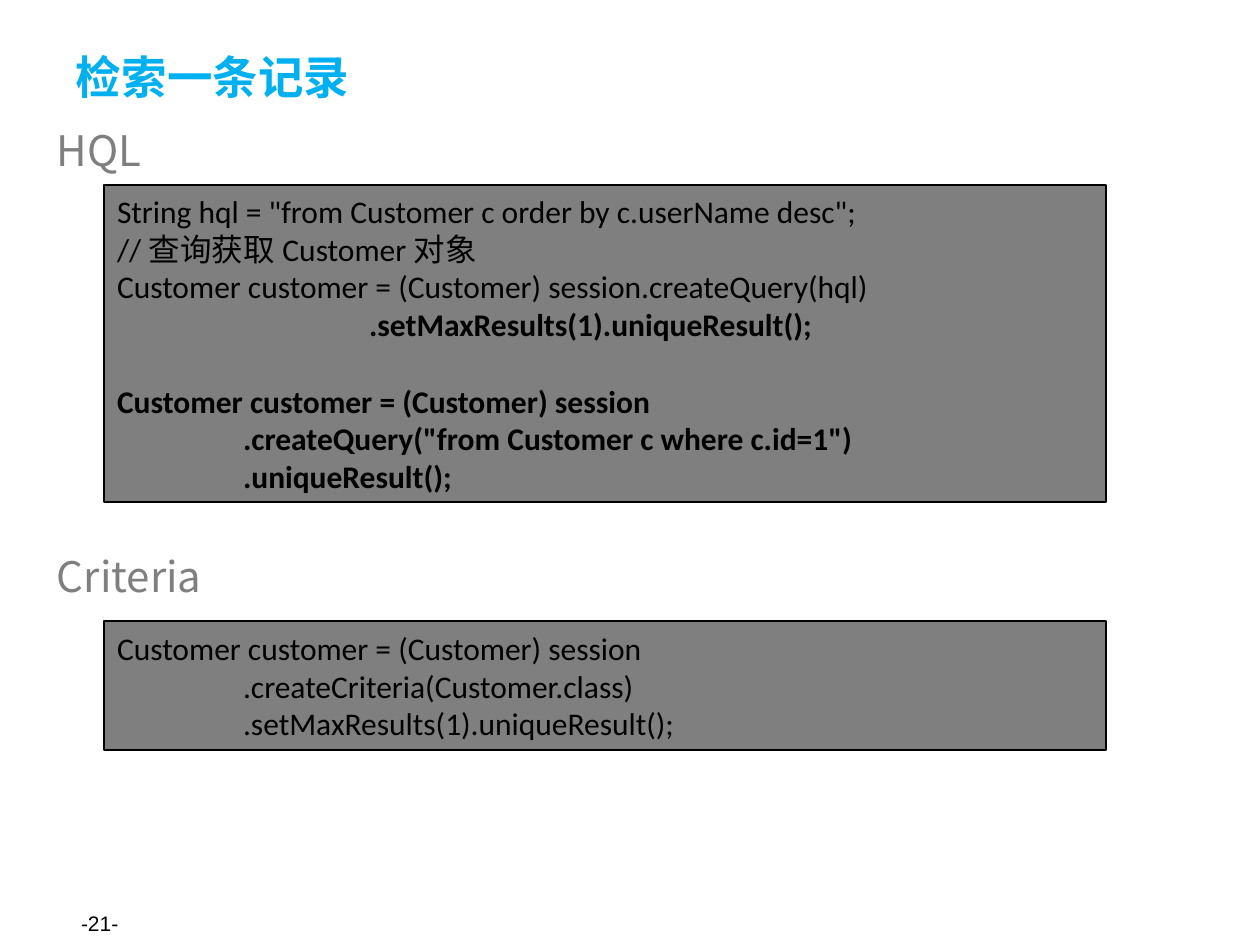
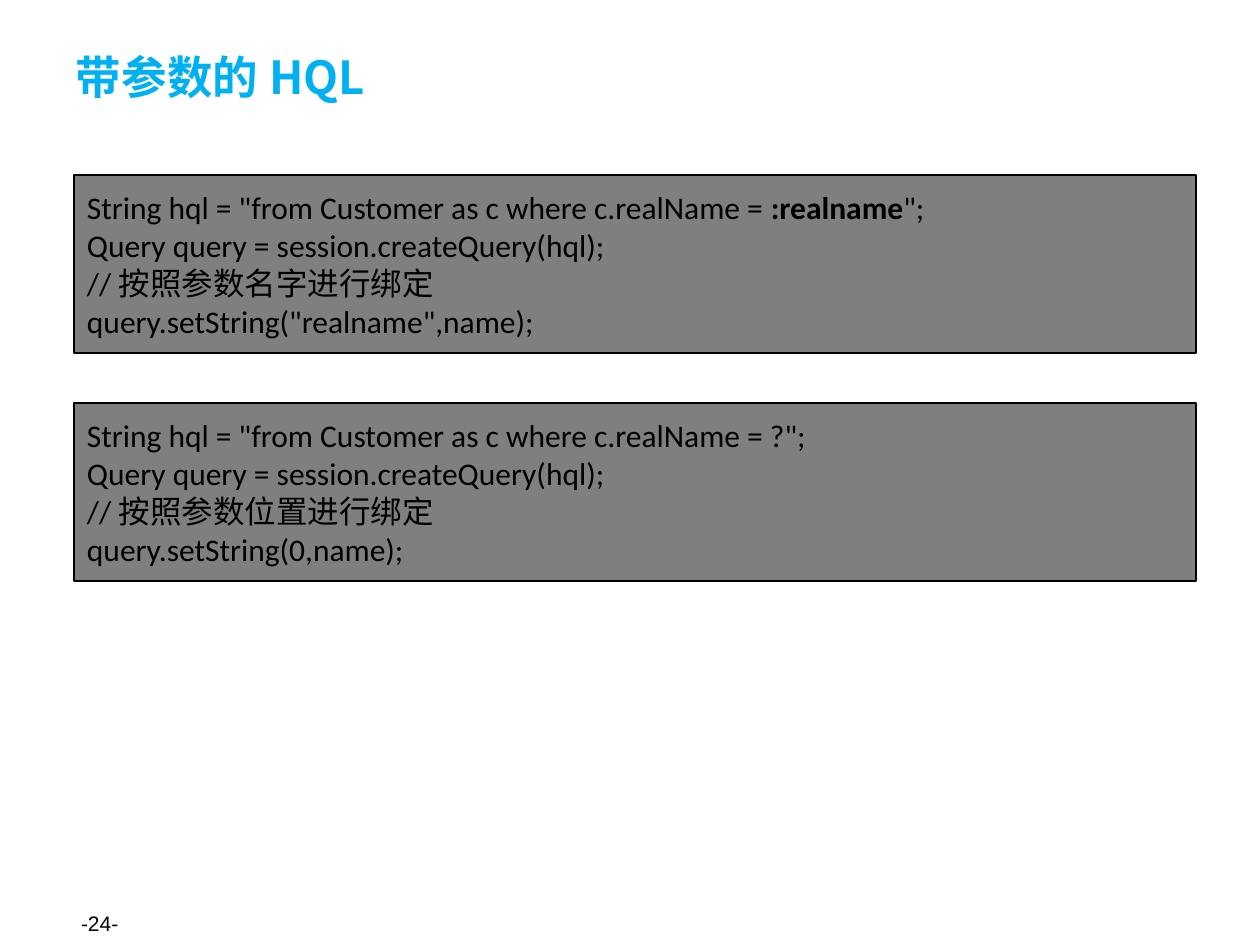
"""Build two slides about querying single records and binding HQL parameters."""
from dataclasses import dataclass

from lxml import etree
from pptx import Presentation
from pptx import util as u
from pptx.dml.color import RGBColor
from pptx.enum import shapes, text
from pptx.oxml import ns

PX_PER_INCH = 126
BLUE, GRAY, BLACK = "00B0F0", "7F7F7F", "000000"
HEAD_FONT, CODE_FONT, FOOTER_FONT = "Noto Sans CJK SC", "Calibri", "Arial"
INSET_X, INSET_Y = 13, 6
TAB_COUNT = 7


@dataclass(frozen=True)
class Area:
    left: int
    top: int
    width: int
    height: int


@dataclass(frozen=True)
class Style:
    font: str
    size: int
    color: str
    bold: bool = False


@dataclass(frozen=True)
class Line:
    plain: str = ""
    strong: str = ""
    tail: str = ""
    space_before: int = 0


@dataclass(frozen=True)
class Label:
    caption: str
    top: int


@dataclass(frozen=True)
class CodeBox:
    area: Area
    lines: tuple[Line, ...]


@dataclass(frozen=True)
class Page:
    title: str
    number: int
    labels: tuple[Label, ...]
    code_boxes: tuple[CodeBox, ...]


TITLE_AREA = Area(63, 38, 1134, 77)
FOOTER_AREA = Area(68, 898, 294, 50)
LABEL_LEFT, LABEL_WIDTH, LABEL_HEIGHT = 44, 1170, 61
TITLE_STYLE = Style(HEAD_FONT, 26, BLUE, True)
LABEL_STYLE = Style(HEAD_FONT, 24, GRAY)
CODE_STYLE = Style(CODE_FONT, 18, BLACK)
FOOTER_STYLE = Style(FOOTER_FONT, 12, BLACK)


def px(length: int) -> u.Emu:
    """Turn pixels into EMU."""
    return u.Emu(round(length * 914400 / PX_PER_INCH))


def rgb(color: str) -> RGBColor:
    """Turn a hex string into a colour."""
    return RGBColor.from_string(color)


def place(shape, area: Area) -> None:
    """Move and resize a shape."""
    shape.left, shape.top = px(area.left), px(area.top)
    shape.width, shape.height = px(area.width), px(area.height)


def add_tabs(para) -> None:
    """Add a left tab stop at every inch."""
    properties = para._p.get_or_add_pPr()
    tabs = etree.SubElement(properties, ns.qn("a:tabLst"))
    for inch in range(1, TAB_COUNT + 1):
        etree.SubElement(tabs, ns.qn("a:tab"), pos=str(u.Inches(inch)), algn="l")


def style_para(para, style: Style) -> None:
    """Align a paragraph left and set its font."""
    para.alignment = text.PP_ALIGN.LEFT
    font = para.font
    font.name, font.size, font.bold = style.font, u.Pt(style.size), style.bold
    font.color.rgb = rgb(style.color)
    defaults = para._p.pPr.find(ns.qn("a:defRPr"))
    east_asian = etree.Element(ns.qn("a:ea"), typeface=HEAD_FONT)
    defaults.find(ns.qn("a:latin")).addnext(east_asian)


def write_lines(shape, lines: tuple[Line, ...], style: Style, inset_y: int = INSET_Y,
                anchor: text.MSO_ANCHOR = text.MSO_ANCHOR.MIDDLE) -> None:
    """Fill a shape with styled paragraphs."""
    frame = shape.text_frame
    frame.word_wrap = True
    frame.auto_size = text.MSO_AUTO_SIZE.NONE
    frame.vertical_anchor = anchor
    frame.margin_left = frame.margin_right = px(INSET_X)
    frame.margin_top = frame.margin_bottom = px(inset_y)
    for index, line in enumerate(lines):
        para = frame.add_paragraph() if index else frame.paragraphs[0]
        para.space_before = u.Pt(line.space_before)
        add_tabs(para)
        style_para(para, style)
        for content, strong in ((line.plain, False), (line.strong, True), (line.tail, False)):
            if content:
                span = para.add_run()
                span.text = content
                if strong:
                    span.font.bold = True


def add_text(slide, area: Area, content: str, style: Style, inset_y: int = INSET_Y,
             anchor: text.MSO_ANCHOR = text.MSO_ANCHOR.MIDDLE) -> None:
    """Add a one-line text box."""
    box = slide.shapes.add_textbox(0, 0, 0, 0)
    place(box, area)
    write_lines(box, (Line(content),), style, inset_y, anchor)


def add_code(slide, code: CodeBox) -> None:
    """Add a gray outlined code box."""
    box = slide.shapes.add_shape(shapes.MSO_SHAPE.RECTANGLE, 0, 0, 0, 0)
    place(box, code.area)
    box.shadow.inherit = False
    box.fill.solid()
    box.fill.fore_color.rgb = rgb(GRAY)
    box.line.color.rgb = rgb(BLACK)
    box.line.width = u.Pt(1)
    write_lines(box, code.lines, CODE_STYLE)


def add_page(deck, page: Page) -> None:
    """Add one slide with its title, labels, code and number."""
    slide = deck.slides.add_slide(deck.slide_layouts.get_by_name("Title Only"))
    title = slide.shapes.title
    place(title, TITLE_AREA)
    write_lines(title, (Line(page.title),), TITLE_STYLE)
    add_text(slide, FOOTER_AREA, f"-{page.number}-", FOOTER_STYLE)
    for label in page.labels:
        area = Area(LABEL_LEFT, label.top, LABEL_WIDTH, LABEL_HEIGHT)
        add_text(slide, area, label.caption, LABEL_STYLE, 0, text.MSO_ANCHOR.TOP)
    for code in page.code_boxes:
        add_code(slide, code)


def binding_box(top: int, query: Line, way: str, key: str) -> CodeBox:
    """Describe a code box that binds one query parameter."""
    return CodeBox(Area(74, top, 1122, 178), (
        query,
        Line("Query query = session.createQuery(hql);"),
        Line(f"//按照参数{way}进行绑定"),
        Line(f"query.setString({key},name);"),
    ))


BINDING_QUERY = 'String hql = "from Customer as c where c.realName = '
SESSION_LINE = "Customer customer = (Customer) session"

PAGES = (
    Page("检索一条记录", 21, (Label("HQL", 125), Label("Criteria", 551)), (
        CodeBox(Area(104, 185, 1002, 317), (
            Line('String hql = "from Customer c order by c.userName desc";'),
            Line("//查询获取Customer对象"),
            Line(SESSION_LINE + ".createQuery(hql)"),
            Line("\t\t", ".setMaxResults(1).uniqueResult();"),
            Line(strong=SESSION_LINE, space_before=22),
            Line(strong='\t.createQuery("from Customer c where c.id=1")'),
            Line(strong="\t.uniqueResult();"),
        )),
        CodeBox(Area(104, 621, 1002, 129), (
            Line(SESSION_LINE),
            Line("\t.createCriteria(Customer.class)"),
            Line("\t.setMaxResults(1).uniqueResult();"),
        )),
    )),
    Page("带参数的HQL", 24, (), (
        binding_box(175, Line(BINDING_QUERY, ":realname", '";'), "名字", '"realname"'),
        binding_box(403, Line(BINDING_QUERY + '?";'), "位置", "0"),
    )),
)


def main() -> None:
    """Build and save the deck."""
    deck = Presentation()
    deck.slide_width, deck.slide_height = px(1260), px(945)
    for page in PAGES:
        add_page(deck, page)
    deck.save("out.pptx")


if __name__ == "__main__":
    main()
